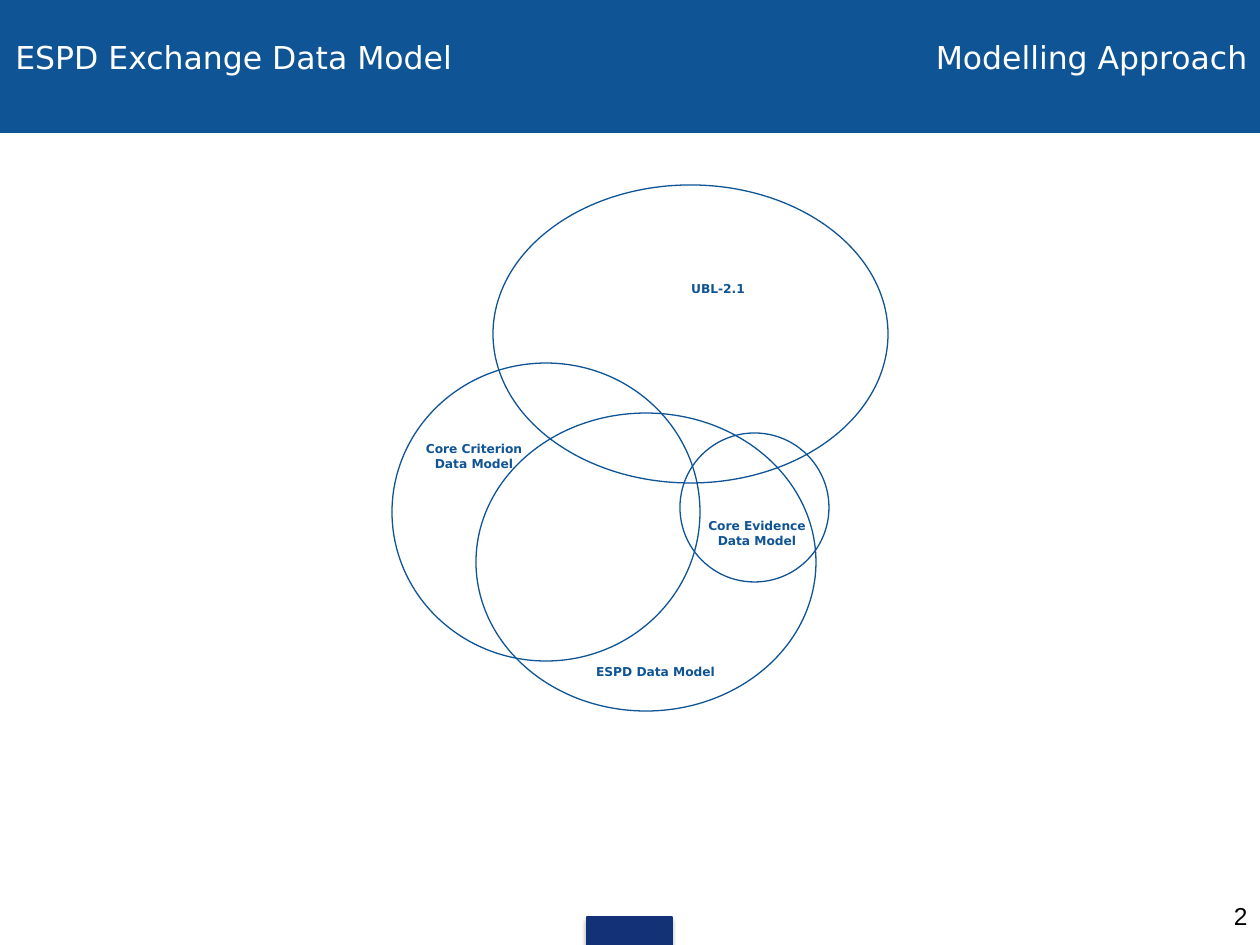
"""Build the ESPD modelling approach slide with its overlapping data models."""
from lxml.etree import SubElement
from pptx import Presentation
from pptx.dml.color import RGBColor
from pptx.enum.shapes import MSO_SHAPE
from pptx.enum.text import MSO_ANCHOR, MSO_AUTO_SIZE, PP_ALIGN
from pptx.oxml.ns import qn
from pptx.util import Emu, Pt

SCALE = 914400 / 126
SLIDE_SIZE = (1260, 945)
COLORS = {"blue": "0F5494", "navy": "133176", "white": "FFFFFF", "black": "000000"}

HEADER = (0, 0, 1260, 132)
FOOTER_TAB = (587, 917, 85, 28)
TITLES = [
    ("Modelling Approach", (922, 32, 338, 50), PP_ALIGN.RIGHT),
    ("ESPD Exchange Data Model", (3, 32, 466, 50), PP_ALIGN.LEFT),
]
PAGE_NUMBER = ("2", (966, 895, 294, 50))
MODELS = [
    (["Core Criterion Data Model"], (392, 363, 308, 298), (407, 435, 134, 43)),
    (["Core Evidence", "Data Model"], (680, 433, 149, 149), (669, 512, 176, 43)),
    (["UBL-2.1"], (493, 185, 395, 298), (651, 275, 134, 28)),
    (["ESPD Data Model"], (476, 413, 340, 298), (582, 658, 147, 43)),
]


def to_emu(box):
    return [Emu(round(value * SCALE)) for value in box]


def color(name):
    return RGBColor.from_string(COLORS[name])


def add_text(shapes, lines, box, *, size, ink, font="DejaVu Sans", bold=False,
             align=PP_ALIGN.CENTER, wrap=True, grow=True):
    frame = shapes.add_textbox(*to_emu(box)).text_frame
    frame.word_wrap = wrap
    frame.auto_size = MSO_AUTO_SIZE.SHAPE_TO_FIT_TEXT if grow else MSO_AUTO_SIZE.NONE
    frame.vertical_anchor = MSO_ANCHOR.TOP
    for index, line in enumerate(lines):
        paragraph = frame.add_paragraph() if index else frame.paragraphs[0]
        paragraph.alignment = align
        run = paragraph.add_run()
        run.text = line
        run.font.name, run.font.size, run.font.bold = font, Pt(size), bold
        run.font.color.rgb = color(ink)


def add_outline(shapes, kind, box, line, fill=None):
    shape = shapes.add_shape(kind, *to_emu(box))
    shape.shadow.inherit = False
    if fill:
        shape.fill.solid()
        shape.fill.fore_color.rgb = color(fill)
    else:
        shape.fill.background()
    shape.line.color.rgb = color(line)
    shape.line.width = Pt(0.75)
    return shape


def add_shadow(shape):
    effects = shape.element.spPr.find(qn("a:effectLst"))
    shadow = SubElement(effects, qn("a:outerShdw"), blurRad=str(Pt(3.1)),
                        dist=str(Pt(1.8)), dir="5400000", rotWithShape="0")
    shade = SubElement(shadow, qn("a:srgbClr"), val=COLORS["black"])
    SubElement(shade, qn("a:alpha"), val="35000")


def main():
    presentation = Presentation()
    presentation.slide_width, presentation.slide_height = to_emu(SLIDE_SIZE)
    slide = presentation.slides.add_slide(presentation.slide_layouts[6])

    add_outline(slide.shapes, MSO_SHAPE.RECTANGLE, HEADER, "blue", "blue")
    add_shadow(add_outline(slide.shapes, MSO_SHAPE.RECTANGLE, FOOTER_TAB, "navy", "navy"))
    for title, box, align in TITLES:
        add_text(slide.shapes, [title], box, size=18, ink="white", align=align, wrap=False)
    for lines, ellipse_box, label_box in MODELS:
        group = slide.shapes.add_group_shape()
        add_outline(group.shapes, MSO_SHAPE.OVAL, ellipse_box, "blue")
        add_text(group.shapes, lines, label_box, size=7, ink="blue", bold=True)
    number, number_box = PAGE_NUMBER
    add_text(slide.shapes, [number], number_box, size=14, ink="black", font="Arial",
             align=PP_ALIGN.RIGHT, grow=False)
    presentation.save("out.pptx")


if __name__ == "__main__":
    main()
